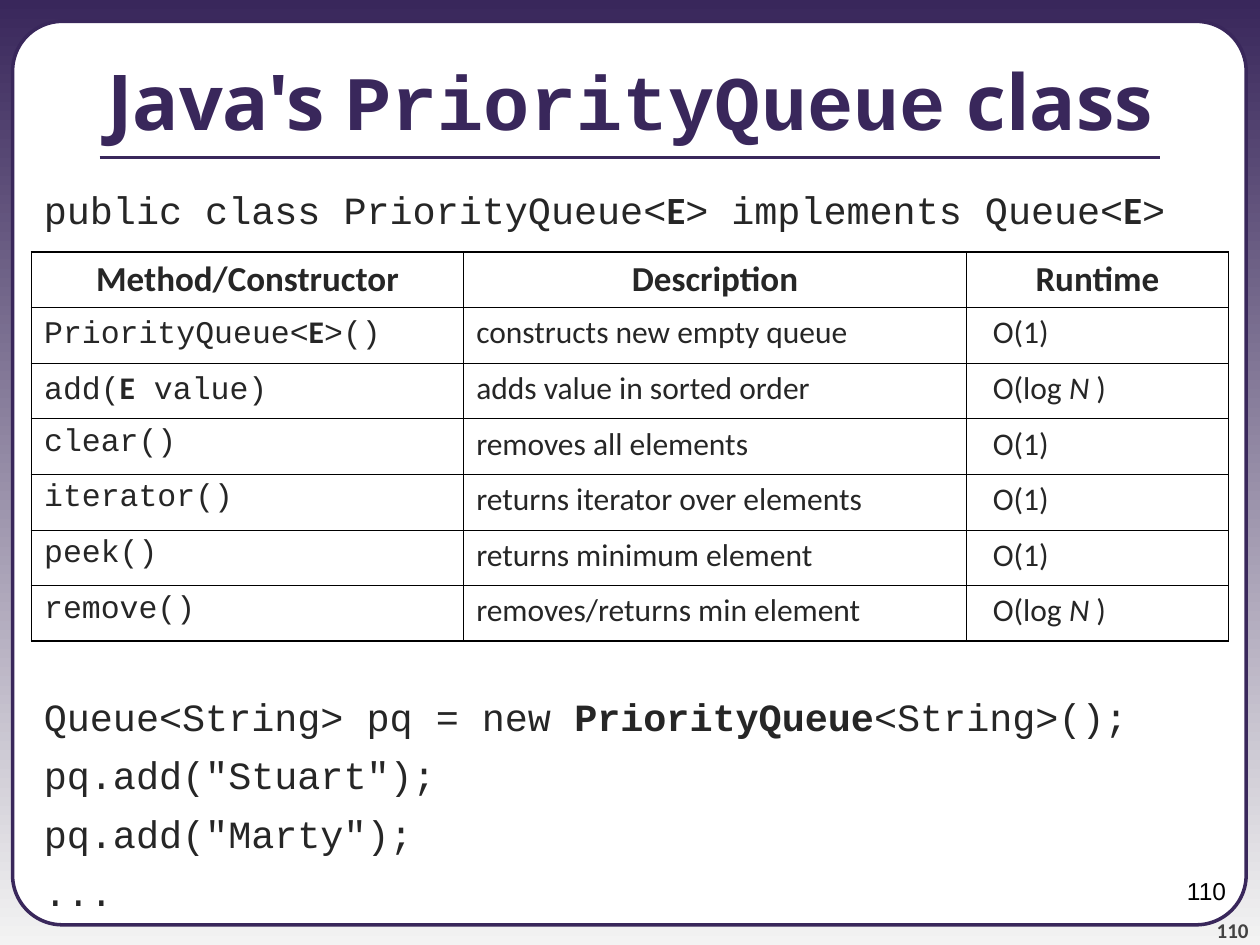
from lxml.etree import SubElement
from pptx import Presentation
from pptx.dml.color import RGBColor
from pptx.enum.shapes import MSO_CONNECTOR, MSO_SHAPE
from pptx.enum.text import MSO_ANCHOR, PP_ALIGN
from pptx.oxml.ns import qn
from pptx.util import Inches, Pt

COLORS = {
    "purple": "39275B",
    "mist": "F3F3F3",
    "white": "FFFFFF",
    "ink": "262626",
    "gray": "424242",
    "black": "000000",
}
CODE, BODY, HEADING = "Courier New", "Calibri", "Noto Sans"
THIN, THICK = Pt(0.45), Pt(1.08)
CODE_GAP = Pt(7)
PAGE_NUMBER = "110"

TYPE = ("E", {"name": BODY, "bold": True})
SIGNATURE = [["public class PriorityQueue<", TYPE, "> implements Queue<", TYPE, ">"]]
EXAMPLE = [
    ["Queue<String> pq = new ", ("PriorityQueue", {"bold": True}), "<String>();"],
    ['pq.add("Stuart");'],
    ['pq.add("Marty");'],
    ["..."],
]
CONSTANT = ["O(1)"]
LOGARITHMIC = ["O(log ", ("N", {"italic": True}), " )"]
HEADER = [["Method/Constructor"], ["Description"], ["Runtime"]]
METHODS = [
    (["PriorityQueue<", TYPE, ">()"], ["constructs new empty queue"], CONSTANT),
    (["add(", TYPE, " value)"], ["adds value in sorted order"], LOGARITHMIC),
    (["clear()"], ["removes all elements"], CONSTANT),
    (["iterator()"], ["returns iterator over elements"], CONSTANT),
    (["peek()"], ["returns minimum element"], CONSTANT),
    (["remove()"], ["removes/returns min element"], LOGARITHMIC),
]


def rgb(color):
    return RGBColor.from_string(COLORS[color])


def set_all(target, values):
    for attribute, value in values.items():
        setattr(target, attribute, value)


def write_runs(paragraph, parts, style, color, align=PP_ALIGN.LEFT):
    paragraph.alignment = align
    for part in parts:
        words, changes = (part, {}) if isinstance(part, str) else part
        run = paragraph.add_run()
        run.text = words
        set_all(run.font, {"bold": False, "italic": False, **style, **changes})
        run.font.color.rgb = rgb(color)


def add_lines(slide, box, lines, style, color, frame_format, align=PP_ALIGN.LEFT):
    frame = slide.shapes.add_textbox(*map(Inches, box)).text_frame
    set_all(frame, {"word_wrap": True, **frame_format})
    for index, parts in enumerate(lines):
        paragraph = frame.add_paragraph() if index else frame.paragraphs[0]
        if index:
            paragraph.space_before = CODE_GAP
        write_runs(paragraph, parts, style, color, align)


def add_backdrop(slide, box):
    background = slide.background.fill
    background.gradient()
    background.gradient_angle = 270
    for stop, color in zip(background.gradient_stops, ("purple", "mist")):
        stop.color.rgb = rgb(color)

    panel = slide.shapes.add_shape(MSO_SHAPE.ROUNDED_RECTANGLE, *map(Inches, box))
    panel.adjustments[0] = 0.055
    panel.shadow.inherit = False
    panel.fill.solid()
    panel.fill.fore_color.rgb = rgb("white")
    panel.line.color.rgb = rgb("purple")
    panel.line.width = Pt(2)
    slide.shapes.element.insert(2, panel.element)


def add_title(slide, box):
    left, top, width, height = box
    title = slide.shapes.title
    set_all(title, dict(zip(("left", "top", "width", "height"), map(Inches, box))))
    set_all(title.text_frame, {"vertical_anchor": MSO_ANCHOR.MIDDLE, "word_wrap": True})
    write_runs(
        title.text_frame.paragraphs[0],
        ["Java's ", ("PriorityQueue", {"name": CODE}), " class"],
        {"name": HEADING, "size": Pt(44), "bold": True},
        "purple",
        PP_ALIGN.CENTER,
    )
    inset, rule_y = 0.79, Inches(1.25)
    rule = slide.shapes.add_connector(
        MSO_CONNECTOR.STRAIGHT,
        Inches(left + inset), rule_y, Inches(left + width - inset), rule_y,
    )
    rule.line.color.rgb = rgb("purple")
    rule.line.width = Pt(2.25)
    SubElement(rule.element.spPr, qn("a:effectLst"))


def add_code(slide, box, lines):
    add_lines(slide, box, lines, {"name": CODE, "size": Pt(22)}, "ink", {})


def set_borders(cell, widths):
    properties = cell._tc.get_or_add_tcPr()
    for position, (side, width) in enumerate(widths.items()):
        border = properties.makeelement(qn(f"a:{side}"), {"w": str(int(width))})
        fill = SubElement(border, qn("a:solidFill"))
        SubElement(fill, qn("a:srgbClr"), val=COLORS["black"])
        properties.insert(position, border)


def add_methods(slide, box):
    rows = [HEADER, *METHODS]
    table = slide.shapes.add_table(len(rows), len(HEADER), *map(Inches, box)).table
    set_all(table, {"first_row": False, "horz_banding": False})
    for column, width in zip(table.columns, (3.43, 3.99, 2.08)):
        column.width = Inches(width)
    last_row, last_column = len(rows) - 1, len(HEADER) - 1

    for r, row in enumerate(rows):
        for c, parts in enumerate(row):
            cell = table.cell(r, c)
            cell.fill.background()
            if r == 0:
                style = {"name": BODY, "size": Pt(20), "bold": True}
                align = PP_ALIGN.CENTER
            else:
                style = {"name": BODY if c else CODE, "size": Pt(18)}
                align = PP_ALIGN.LEFT
                if c == last_column:
                    cell.margin_left = Inches(0.21)
            write_runs(cell.text_frame.paragraphs[0], parts, style, "ink", align)
            set_borders(cell, {
                "lnL": THIN if c else THICK,
                "lnR": THICK if c == last_column else THIN,
                "lnT": THIN if r else THICK,
                "lnB": THICK if r == last_row else THIN,
            })


def add_page_number(slide, box, style, color, frame_format):
    add_lines(slide, box, [[PAGE_NUMBER]], style, color, frame_format, PP_ALIGN.RIGHT)


def main():
    deck = Presentation()
    set_all(deck, {"slide_width": Inches(10), "slide_height": Inches(7.5)})
    slide = deck.slides.add_slide(deck.slide_layouts[5])
    add_backdrop(slide, (0.1, 0.17, 9.79, 7.17))
    add_title(slide, (0, 0.17, 10, 1.25))
    add_code(slide, (0.25, 1.43, 9.5, 0.5), SIGNATURE)
    add_methods(slide, (0.25, 2, 9.5, 3.09))
    add_code(slide, (0.25, 5.45, 9.5, 1.85), EXAMPLE)
    flush = dict.fromkeys(("margin_left", "margin_top", "margin_right", "margin_bottom"), 0)
    add_page_number(
        slide, (9.08, 7.08, 0.83, 0.4), {"name": BODY, "size": Pt(12), "bold": True},
        "gray", {**flush, "vertical_anchor": MSO_ANCHOR.BOTTOM},
    )
    add_page_number(
        slide, (7.5, 6.9, 2.33, 0.52), {"name": "Arial", "size": Pt(14)}, "black", {},
    )
    deck.save("out.pptx")


if __name__ == "__main__":
    main()
